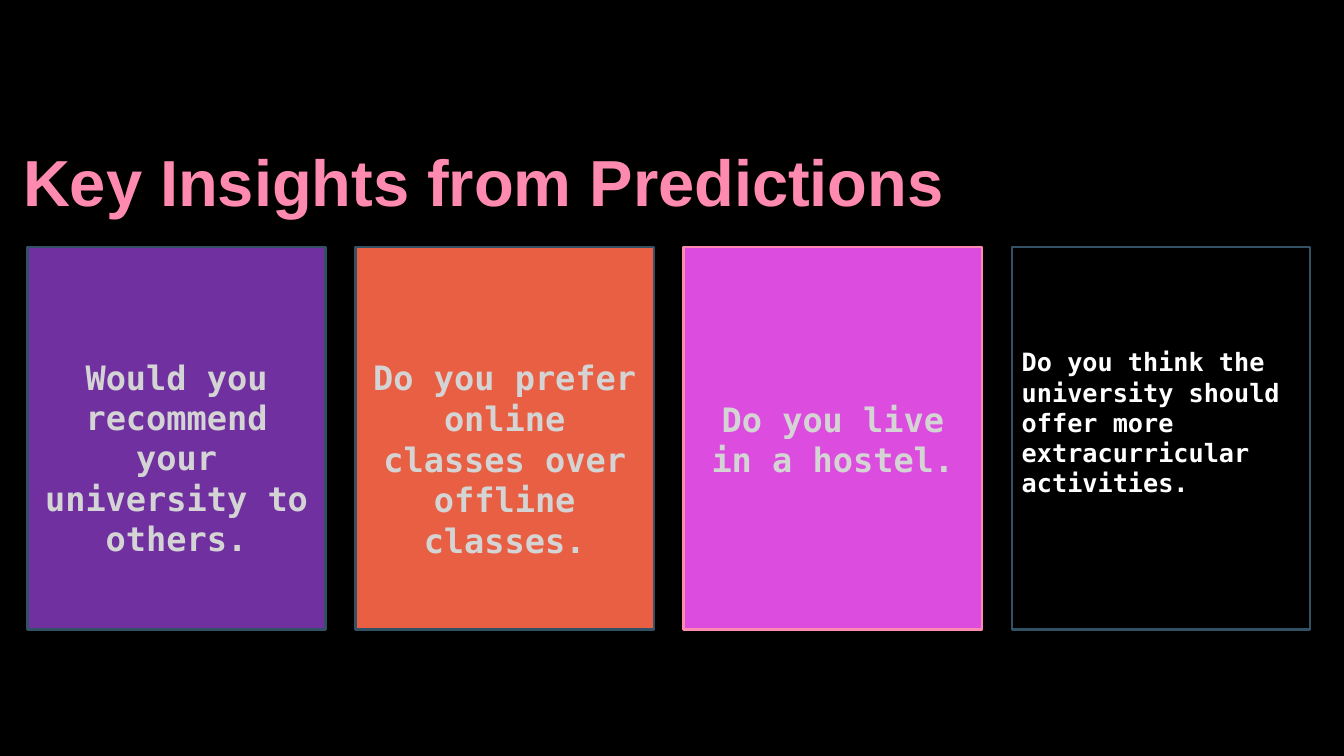
from pptx import Presentation
from pptx.dml.color import RGBColor
from pptx.enum.shapes import MSO_SHAPE as Shape
from pptx.enum.text import MSO_ANCHOR as Anchor, MSO_AUTO_SIZE as AutoSize, PP_ALIGN as Align
from pptx.util import Cm, Pt

BLACK = RGBColor(0x00, 0x00, 0x00)
WHITE = RGBColor(0xFF, 0xFF, 0xFF)
GREY = RGBColor(0xD4, 0xD4, 0xD4)
PINK = RGBColor(0xFF, 0x8A, 0xAF)
SLATE = RGBColor(0x32, 0x51, 0x64)
PURPLE = RGBColor(0x70, 0x30, 0xA0)
ORANGE = RGBColor(0xE8, 0x5F, 0x44)
MAGENTA = RGBColor(0xDC, 0x4D, 0xDF)

CARD_LEFT, CARD_STEP = 0.69, 8.27
CARD_TOP, CARD_WIDTH, CARD_HEIGHT = 6.23, 7.52, 9.63

QUESTION = {"size": 24, "color": GREY, "alignment": Align.CENTER, "spacing": Pt(29)}
NATURAL_SPACING = {**QUESTION, "spacing": None}
SMALL_QUESTION = {"size": 18, "color": WHITE, "alignment": Align.LEFT, "spacing": None}

# Fill, line, text top and height in cm, text format, text
CARDS = [
    (PURPLE, SLATE, 8.86, 4.37, NATURAL_SPACING,
     "Would you recommend your university to others."),
    (ORANGE, SLATE, 8.87, 4.34, QUESTION,
     "Do you prefer online classes over offline classes."),
    (MAGENTA, PINK, 9.91, 2.29, QUESTION, "Do you live in a hostel."),
    (BLACK, SLATE, 8.61, 4.88, SMALL_QUESTION,
     "Do you think the university should offer more extracurricular activities."),
]


def set_attributes(target, values):
    for name, value in values.items():
        setattr(target, name, value)


def write_text(text_frame, text, font_name, size, color, alignment, spacing):
    paragraph = text_frame.paragraphs[0]
    set_attributes(paragraph, {"alignment": alignment, "line_spacing": spacing})
    run = paragraph.add_run()
    run.text = text
    set_attributes(run.font, {"name": font_name, "size": Pt(size), "bold": True})
    run.font.color.rgb = color


def add_title(slide, text):
    title = slide.shapes.title
    set_attributes(title, {"left": Cm(0.58), "top": Cm(3.48),
                           "width": Cm(24.5), "height": Cm(2.06)})
    set_attributes(title.text_frame, {
        "margin_left": 0, "margin_top": 0, "margin_right": 0, "margin_bottom": 0,
        "word_wrap": False, "auto_size": AutoSize.NONE, "vertical_anchor": Anchor.TOP})
    write_text(title.text_frame, text, "Arial", 46.5, PINK, Align.LEFT, Pt(58.5))


def add_card(slide, left, fill, line):
    card = slide.shapes.add_shape(Shape.RECTANGLE, Cm(left), Cm(CARD_TOP),
                                  Cm(CARD_WIDTH), Cm(CARD_HEIGHT))
    card.shadow.inherit = False
    card.fill.solid()
    card.fill.fore_color.rgb = fill
    card.line.color.rgb = line
    card.line.width = Pt(1.75)


def add_question(slide, left, top, height, text, text_format):
    box = slide.shapes.add_textbox(Cm(left), Cm(top), Cm(CARD_WIDTH), Cm(height))
    set_attributes(box.text_frame, {
        "word_wrap": True, "auto_size": AutoSize.SHAPE_TO_FIT_TEXT,
        "vertical_anchor": Anchor.TOP})
    write_text(box.text_frame, text, "DejaVu Sans Mono", **text_format)


def main():
    presentation = Presentation()
    presentation.slide_width = Cm(33.87)
    presentation.slide_height = Cm(19.05)
    slide = presentation.slides.add_slide(presentation.slide_layouts.get_by_name("Title Only"))
    slide.background.fill.solid()
    slide.background.fill.fore_color.rgb = BLACK

    add_title(slide, "Key Insights from Predictions")
    for index, (fill, line, top, height, text_format, text) in enumerate(CARDS):
        left = CARD_LEFT + index * CARD_STEP
        add_card(slide, left, fill, line)
        add_question(slide, left, top, height, text, text_format)

    presentation.save("out.pptx")


if __name__ == "__main__":
    main()
